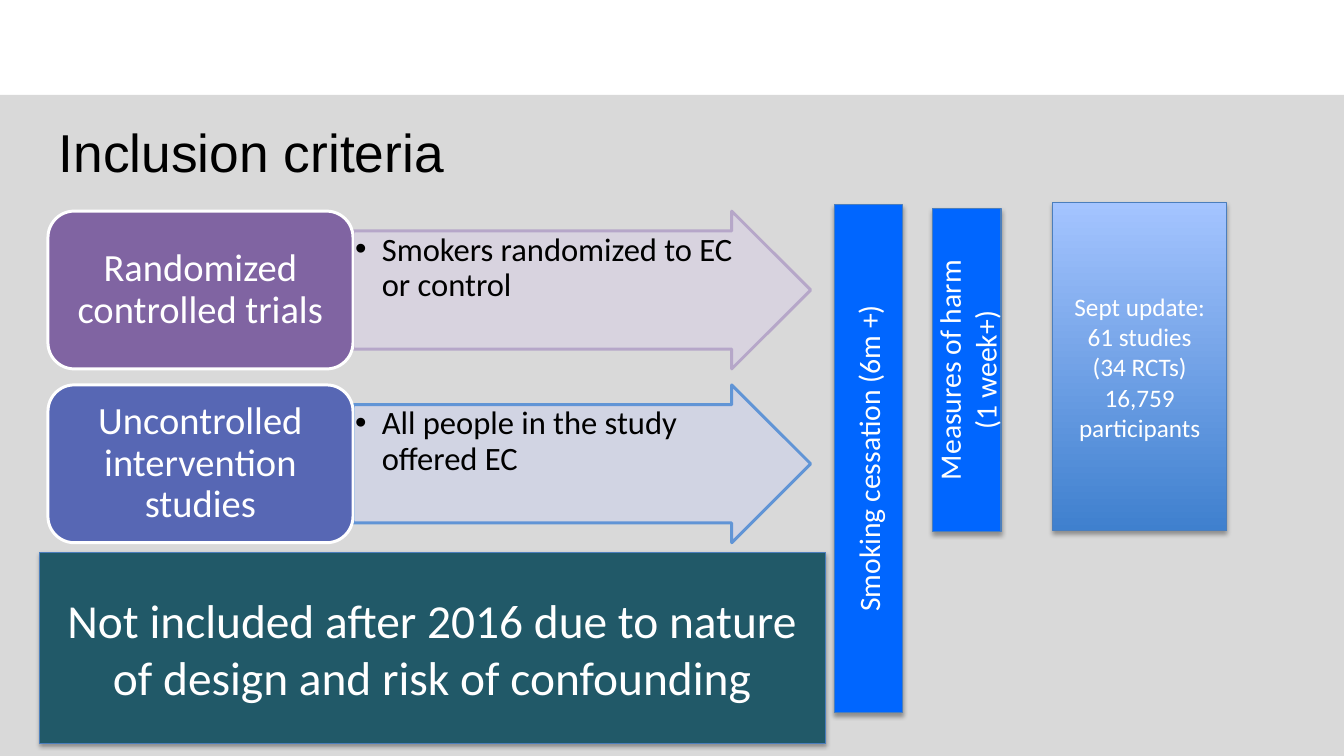
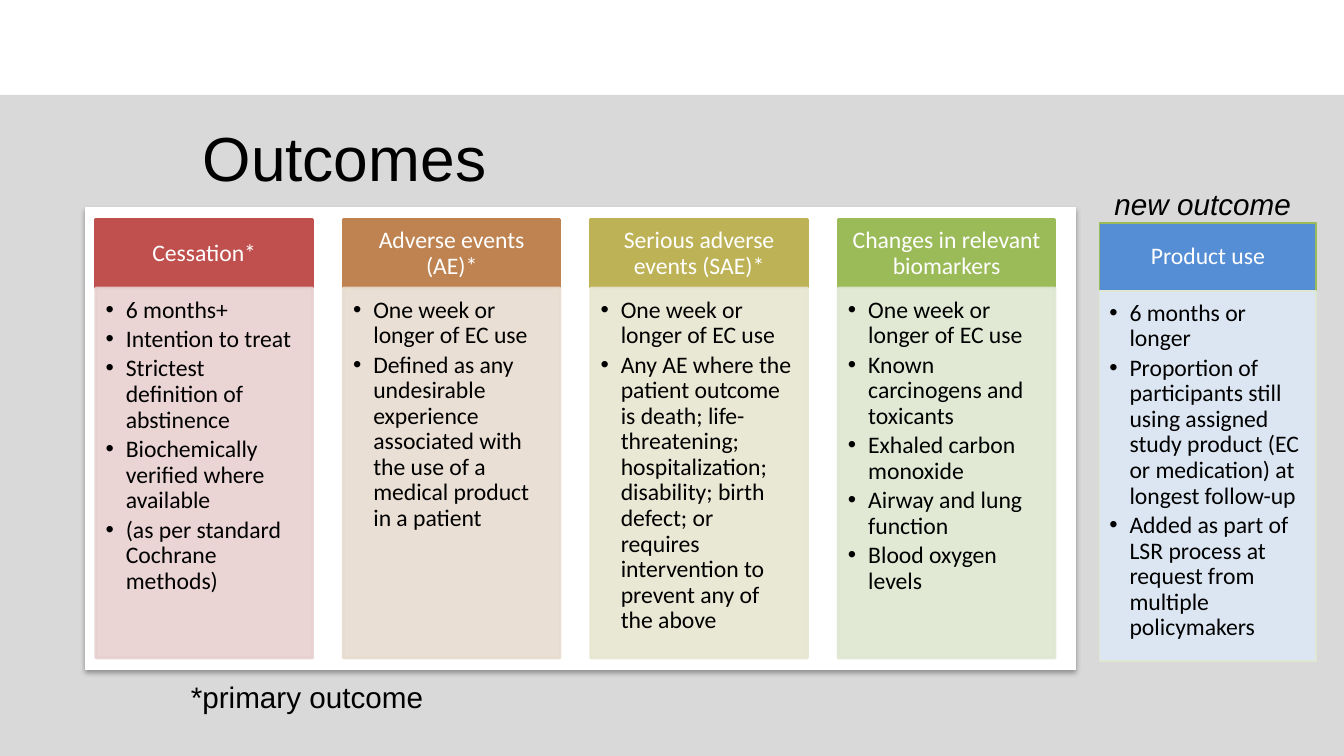
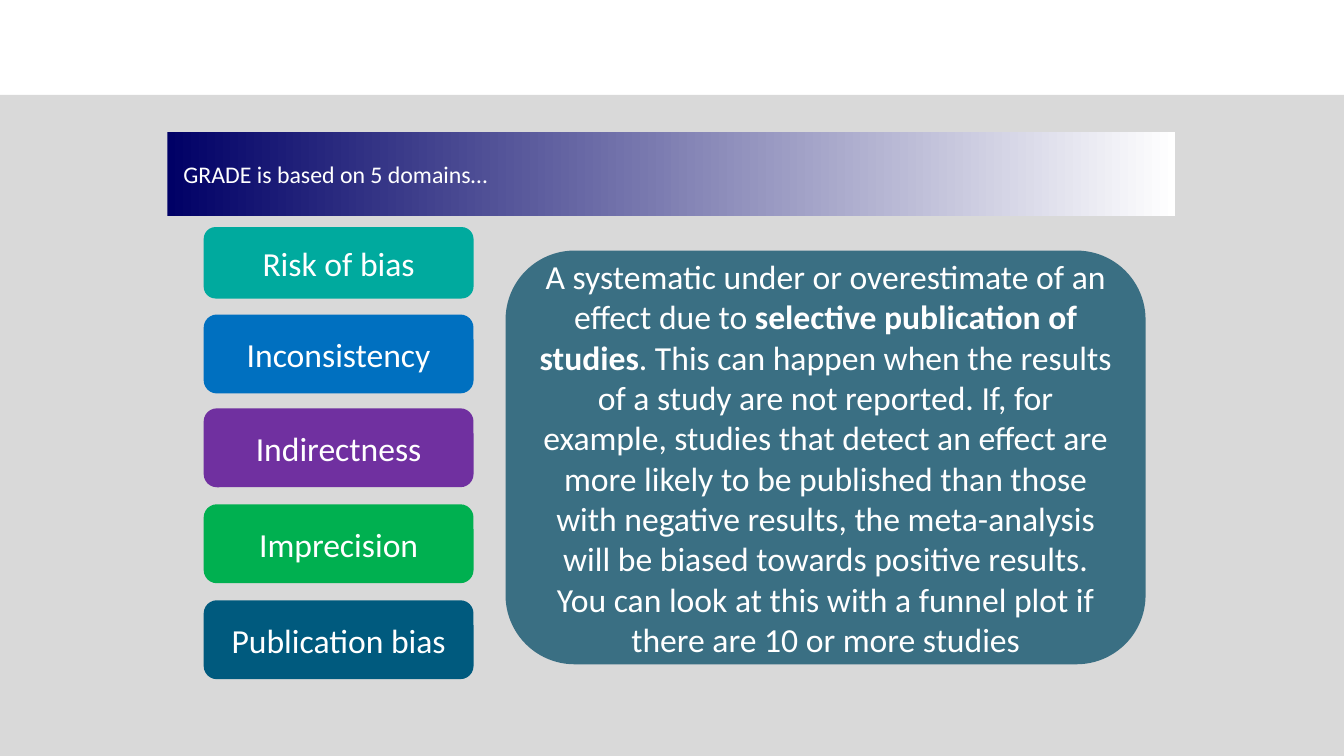
from lxml import etree
from pptx import Presentation
from pptx.dml.color import RGBColor
from pptx.enum.shapes import MSO_SHAPE
from pptx.enum.text import MSO_ANCHOR, MSO_AUTO_SIZE, PP_ALIGN
from pptx.oxml.ns import qn
from pptx.util import Emu, Inches, Pt

RECTANGLE = MSO_SHAPE.RECTANGLE
ROUNDED = MSO_SHAPE.ROUNDED_RECTANGLE
ARROW = MSO_SHAPE.RIGHT_ARROW
LEFT, CENTER = PP_ALIGN.LEFT, PP_ALIGN.CENTER
TOP, MIDDLE = MSO_ANCHOR.TOP, MSO_ANCHOR.MIDDLE
NO_AUTOFIT = MSO_AUTO_SIZE.NONE

GRID = Inches(0.1)
COLUMNS, ROWS = 126, 70.9
TITLE_ONLY = 5
HEADING_FONT, BODY_FONT = "Arial", "Calibri"
WHITE, BLACK = "FFFFFF", "000000"
BACKGROUND, EDGE, BRIGHT_BLUE = "D9D9D9", "4B7EBC", "0066FF"

STUDY_TYPES = [
    ("Randomized controlled trials", "8064A2",
     "Smokers randomized to EC or control", "D8D3E0", "B3A2C7"),
    ("Uncontrolled intervention studies", "5767B4",
     "All people in the study offered EC", "D1D4E5", "558ED5"),
]
OUTCOMES = [
    ("Cessation*", "C0504D", "E8D0D0",
     ["6 months+", "Intention to treat", "Strictest definition of abstinence",
      "Biochemically verified where available", "(as per standard Cochrane methods)"]),
    ("Adverse events (AE)*", "BE8351", "E8DCD0",
     ["One week or longer of EC use",
      "Defined as any undesirable experience associated with the use of a medical "
      "product in a patient"]),
    ("Serious adverse events (SAE)*", "BDB255", "E7E6D1",
     ["One week or longer of EC use",
      "Any AE where the patient outcome is death; life-threatening; hospitalization; "
      "disability; birth defect; or requires intervention to prevent any of the above"]),
    ("Changes in relevant biomarkers", "9BBB59", "DEE7D1",
     ["One week or longer of EC use", "Known carcinogens and toxicants",
      "Exhaled carbon monoxide", "Airway and lung function", "Blood oxygen levels"]),
]
PRODUCT_USE = (
    "Product use", "558ED5", "DCE6F2",
    ["6 months or longer",
     "Proportion of participants still using assigned study product (EC or medication) "
     "at longest follow-up",
     "Added as part of LSR process at request from multiple policymakers"])
DOMAINS = [
    ("Risk of bias", "00AA9E", 21.3, 6.7),
    ("Inconsistency", "0070C0", 29.5, 7.4),
    ("Indirectness", "7030A0", 38.3, 7.4),
    ("Imprecision", "00B050", 47.3, 7.4),
    ("Publication bias", "005A7E", 56.3, 7.4),
]
PUBLICATION_BIAS = [[
    ("A systematic under or overestimate of an effect due to ", False),
    ("selective publication of studies", True),
    (". This can happen when the results of a study are not reported. If, for example, "
     "studies that detect an effect are more likely to be published than those with "
     "negative results, the meta-analysis will be biased towards positive results. You "
     "can look at this with a funnel plot if there are 10 or more studies", False),
]]


def color(hex_string):
    return RGBColor.from_string(hex_string)


def cells(box):
    return [Emu(round(value * GRID)) for value in box]


def part(box, left, top, width, height):
    return (box[0] + left * box[2], box[1] + top * box[3], width * box[2], height * box[3])


def fill_gradient(shape, first, last, angle):
    shape.fill.gradient()
    shape.fill.gradient_angle = angle
    for stop, hex_string in zip(shape.fill.gradient_stops, (first, last)):
        stop.color.rgb = color(hex_string)


def add_shadow(shape):
    effects = shape._element.spPr.find(qn("a:effectLst"))
    shadow = etree.SubElement(effects, qn("a:outerShdw"), blurRad=str(Pt(3.1)),
                              dist=str(Pt(1.8)), dir="5400000", rotWithShape="0")
    shade = etree.SubElement(shadow, qn("a:srgbClr"), val=BLACK)
    etree.SubElement(shade, qn("a:alpha"), val="35000")


def set_opacity(shape, percent):
    for shade in list(shape._element.spPr.iter(qn("a:srgbClr"))):
        etree.SubElement(shade, qn("a:alpha"), val=str(percent * 1000))


def add_block(slide, kind, box, fill, line=None, line_width=0.75, shadow=False, opacity=100):
    shape = slide.shapes.add_shape(kind, *cells(box))
    shape.shadow.inherit = False
    if isinstance(fill, tuple):
        fill_gradient(shape, *fill)
    else:
        shape.fill.solid()
        shape.fill.fore_color.rgb = color(fill)
    if line:
        shape.line.color.rgb = color(line)
        shape.line.width = Pt(line_width)
    else:
        shape.line.fill.background()
    if opacity < 100:
        set_opacity(shape, opacity)
    if shadow:
        add_shadow(shape)
    return shape


def write_text(shape, paragraphs, size, ink=WHITE, font=BODY_FONT, align=CENTER, anchor=MIDDLE,
               margins=(0.1, 0.05, 0.1, 0.05), spacing=None, after=0, bullet=0, italic=None):
    frame = shape.text_frame
    frame.word_wrap = True
    frame.auto_size = NO_AUTOFIT
    frame.vertical_anchor = anchor
    (frame.margin_left, frame.margin_top,
     frame.margin_right, frame.margin_bottom) = map(Inches, margins)
    for index, content in enumerate(paragraphs):
        paragraph = frame.add_paragraph() if index else frame.paragraphs[0]
        paragraph.alignment = align
        if spacing:
            paragraph.line_spacing = spacing
        if after:
            paragraph.space_after = Pt(after)
        if bullet:
            properties = paragraph._p.get_or_add_pPr()
            properties.set("marL", str(Inches(bullet)))
            properties.set("indent", str(-Inches(bullet)))
            etree.SubElement(properties, qn("a:buFont"), typeface=HEADING_FONT)
            etree.SubElement(properties, qn("a:buChar"), char="•")
        runs = [(content, None)] if isinstance(content, str) else content
        for text, bold in runs:
            run = paragraph.add_run()
            run.text = text
            run.font.name = font
            run.font.size = Pt(size)
            run.font.bold = bold
            run.font.italic = italic
            run.font.color.rgb = color(ink)


def place_title(slide, box, text, size, **text_format):
    title = slide.shapes.title
    title.left, title.top, title.width, title.height = cells(box)
    style = dict(ink=BLACK, font=HEADING_FONT, align=LEFT, anchor=TOP,
                 margins=(0.1, 0.11, 0.1, 0.05))
    write_text(title, [text], size, **{**style, **text_format})
    return title


def add_label(slide, box, text, italic=None):
    label = slide.shapes.add_textbox(*cells(box))
    write_text(label, [text], 20, ink=BLACK, font=HEADING_FONT, align=LEFT, anchor=TOP,
               italic=italic)


def add_study_row(slide, box, name, fill, detail, arrow_fill, arrow_line):
    arrow = add_block(slide, ARROW, part(box, 0.4, 0, 0.6, 1), arrow_fill, arrow_line, 2,
                      opacity=90)
    arrow.adjustments[0], arrow.adjustments[1] = 0.75, 0.5
    write_text(arrow, [detail], 22, ink=BLACK, align=LEFT, anchor=TOP,
               margins=(0.02, 0.02, 0.02, 0.02), spacing=0.9, bullet=0.25)
    study = add_block(slide, ROUNDED, part(box, 0, 0, 0.4, 1), fill, WHITE, 2)
    write_text(study, [name], 26, margins=(0.11, 0.05, 0.11, 0.05), spacing=0.9)


def add_upright_bar(slide, box, paragraphs):
    left, top, width, height = box
    turned = (left + (width - height) / 2, top + (height - width) / 2, height, width)
    bar = add_block(slide, RECTANGLE, turned, BRIGHT_BLUE, EDGE, shadow=True)
    bar.rotation = 270
    write_text(bar, paragraphs, 20)


def add_outcome_column(slide, box, name, head_fill, body_fill, points,
                       head_line=None, body_line=None, line_width=2, opacity=90):
    share = 0.156
    head = add_block(slide, RECTANGLE, part(box, 0, 0, 1, share), head_fill,
                     head_line or head_fill, line_width)
    write_text(head, [name], 16, margins=(0.12, 0.07, 0.12, 0.07), spacing=0.9)
    body = add_block(slide, RECTANGLE, part(box, 0, share, 1, 1 - share), body_fill,
                     body_line or body_fill, line_width, opacity=opacity)
    write_text(body, points, 16, ink=BLACK, align=LEFT, anchor=TOP,
               margins=(0.09, 0.09, 0.12, 0.14), spacing=0.9, after=2.6, bullet=0.19)


def add_shared_background(presentation, slide):
    band = add_block(slide, RECTANGLE, (0, 8.9, COLUMNS, ROWS - 8.9), BACKGROUND)
    presentation.slide_master.shapes._spTree.insert(2, band._element)


def build_inclusion_slide(slide):
    place_title(slide, (4.5, 10.1, 83, 6.5), "Inclusion criteria", 36)
    add_upright_bar(slide, (78.2, 19.2, 6.4, 47.6), ["Smoking cessation (6m +)"])
    add_upright_bar(slide, (87.45, 19.55, 6.4, 30.3), ["Measures of harm", "(1 week+)"])
    update = add_block(slide, RECTANGLE, (98.7, 19, 16.3, 30.8), ("A4C4FF", "3F80CE", 270),
                       EDGE, shadow=True)
    write_text(update, ["Sept update:", "61 studies", "(34 RCTs)", "16,759 participants"], 17)
    for index, study in enumerate(STUDY_TYPES):
        add_study_row(slide, (4.5, 19.8 + 16.3 * index, 71.5, 14.8), *study)
    exclusion = add_block(slide, RECTANGLE, (3.7, 51.8, 73.7, 17.9), "215968", EDGE, shadow=True)
    write_text(exclusion, ["Not included after 2016 due to nature of design and risk of "
                           "confounding"], 32)


def build_outcomes_slide(slide):
    add_block(slide, RECTANGLE, (8, 19.5, 92.8, 43.3), WHITE, WHITE, shadow=True)
    place_title(slide, (18, 10.1, 63.2, 6.5), "Outcomes", 42)
    for index, outcome in enumerate(OUTCOMES):
        add_outcome_column(slide, (9 + 23.2 * index, 20.6, 20.3, 41.1), *outcome)
    add_label(slide, (16.9, 63.2, 63.2, 6.5), "*primary outcome")
    add_outcome_column(slide, (103.1, 20.9, 20.3, 41.1), *PRODUCT_USE, head_line="9BBB59",
                       body_line="DEE7D1", line_width=1, opacity=100)
    add_label(slide, (103.5, 16.9, 21.6, 6.5), "new outcome", italic=True)


def build_domains_slide(slide):
    title = place_title(slide, (15.7, 12.4, 94.5, 7.9), "GRADE is based on 5 domains…", 16.1,
                        ink=WHITE, font=BODY_FONT, anchor=MIDDLE,
                        margins=(0.15, 0.05, 0.1, 0.05))
    fill_gradient(title, "000066", WHITE, 0)
    for name, fill, top, height in DOMAINS:
        domain = add_block(slide, ROUNDED, (19.1, top, 25.3, height), fill)
        write_text(domain, [name], 22.7)
    explanation = add_block(slide, ROUNDED, (47.4, 23.5, 60, 38.8), "004864", opacity=73)
    write_text(explanation, PUBLICATION_BIAS, 22.7)


def main():
    presentation = Presentation()
    presentation.slide_width, presentation.slide_height = cells((COLUMNS, ROWS))
    layout = presentation.slide_layouts[TITLE_ONLY]
    builders = (build_inclusion_slide, build_outcomes_slide, build_domains_slide)
    for index, build in enumerate(builders):
        slide = presentation.slides.add_slide(layout)
        if index == 0:
            add_shared_background(presentation, slide)
        build(slide)
    presentation.save("out.pptx")


if __name__ == "__main__":
    main()
